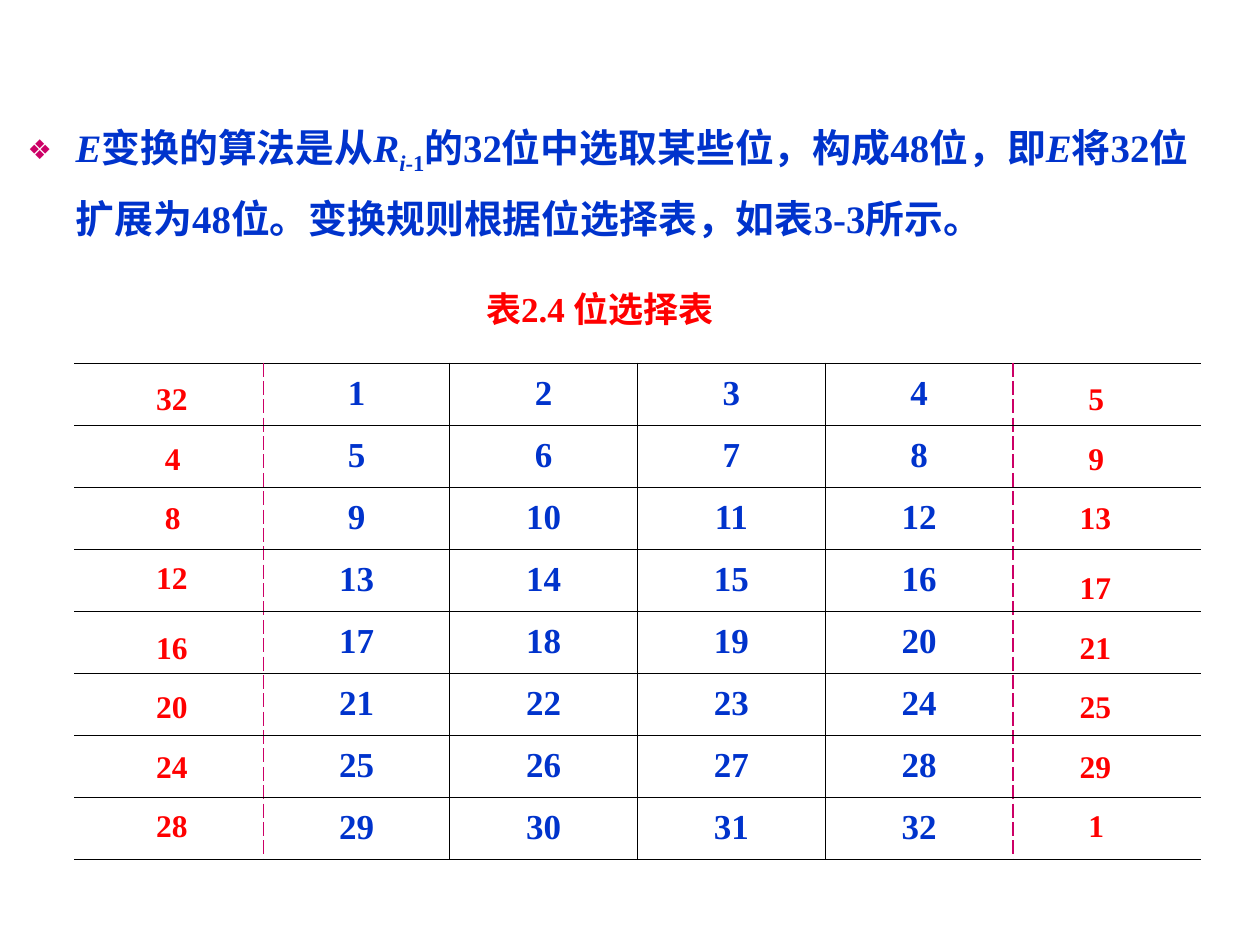
from lxml.etree import SubElement as Sub
from pptx import Presentation
from pptx.dml.color import RGBColor as Rgb
from pptx.enum.text import MSO_ANCHOR as Anchor, MSO_AUTO_SIZE as Fit, PP_ALIGN as Align
from pptx.oxml.ns import qn
from pptx.util import Inches, Pt

COLS, ROWS = 100, 75
INK = {"blue": "0033CC", "red": "FF0000", "pink": "CC0066", "black": "000000"}
BODY = [
    ("E", {"italic": True}),
    ("变换的算法是从", {}),
    ("R", {"italic": True}),
    ("i", {"italic": True, "base": -25}),
    ("-1", {"base": -25}),
    ("的32位中选取某些位，构成48位，即", {}),
    ("E", {"italic": True}),
    ("将32位扩展为48位。变换规则根据位选择表，如表3-3所示。", {}),
]


def write(para, text, size=20, ink="blue", face="Times New Roman",
          bold=True, italic=False, base=0):
    run = para.add_run()
    run.text = text
    font = run.font
    font.name, font.size = face, Pt(size)
    font.bold, font.italic = bold, italic
    font.color.rgb = Rgb.from_string(INK[ink])
    if base:
        run._r.get_or_add_rPr().set("baseline", str(base * 1000))


class Page:
    def __init__(self, deck):
        deck.slide_width, deck.slide_height = Inches(10), Inches(7.5)
        self.wide, self.high = deck.slide_width / COLS, deck.slide_height / ROWS
        self.slide = deck.slides.add_slide(deck.slide_layouts[1])
        title = self.slide.shapes.title._element
        title.getparent().remove(title)

    def area(self, left, top, width, height):
        return (round(left * self.wide), round(top * self.high),
                round(width * self.wide), round(height * self.high))

    def body(self, runs, *place):
        shape = self.slide.placeholders[1]
        shape.left, shape.top, shape.width, shape.height = self.area(*place)
        frame = shape.text_frame
        frame.auto_size = Fit.NONE
        para = frame.paragraphs[0]
        para.line_spacing, para.space_before = 1.4, Pt(0)
        props = para._p.get_or_add_pPr()
        props.set("marL", str(Inches(0.38)))
        props.set("indent", str(-Inches(0.38)))
        tint = Sub(props, qn("a:buClr"))
        Sub(tint, qn("a:srgbClr"), val=INK["pink"])
        Sub(props, qn("a:buSzPct"), val="70000")
        Sub(props, qn("a:buChar"), char="❖")
        for text, style in runs:
            write(para, text, size=22.2, **style)

    def label(self, text, *place, size=18, wrap=True):
        box = self.slide.shapes.add_textbox(*self.area(*place))
        frame = box.text_frame
        frame.word_wrap = wrap
        frame.auto_size = Fit.SHAPE_TO_FIT_TEXT
        write(frame.paragraphs[0], text, size=size, ink="red")

    def edge(self, cell, side, ink=None, width=0.45, dash="solid"):
        props = cell._tc.get_or_add_tcPr()
        line = Sub(props, qn("a:ln" + side), w=str(Pt(width)))
        if ink is None:
            Sub(line, qn("a:noFill"))
            return
        fill = Sub(line, qn("a:solidFill"))
        Sub(fill, qn("a:srgbClr"), val=INK[ink])
        Sub(line, qn("a:prstDash"), val=dash)

    def table(self, rows, widths, *place):
        count, last = len(rows), len(widths) - 1
        grid = self.slide.shapes.add_table(count, len(widths), *self.area(*place)).table
        grid.first_row = grid.horz_banding = False
        for col, width in zip(grid.columns, widths):
            col.width = round(width * self.wide)
        thin = {"ink": "black"}
        dash = {"ink": "pink", "width": 1.08, "dash": "dash"}
        rules = [{}, dash] + [thin] * (last - 2) + [dash, {}]
        for r, row in enumerate(rows):
            for c in range(len(widths)):
                cell = grid.cell(r, c)
                for side, style in zip("LRTB", (rules[c], rules[c + 1], thin, thin)):
                    self.edge(cell, side, **style)
                cell.fill.background()
                cell.vertical_anchor = Anchor.MIDDLE
                if 0 < c < last:
                    para = cell.text_frame.paragraphs[0]
                    para.alignment = Align.CENTER
                    write(para, str(row[c - 1]))

    def stack(self, nums, left, top, step, jump):
        for k, num in enumerate(nums):
            shift = 0.7 if num < 10 else 0
            drop = 0.8 if k >= jump else 0
            self.label(str(num), left + shift, top + k * step + drop, 5.9, 4)


def main():
    deck = Presentation()
    page = Page(deck)
    page.body(BODY, 1.2, 7.6, 96.9, 14.2)
    page.label("表2.4 位选择表", 37.6, 22.3, 21.4, 4.4, size=20, wrap=False)
    rows = [range(n, n + 4) for n in range(1, 33, 4)]
    page.table(rows, [15, 14.8] + [14.9] * 4, 5.9, 28.8, 89.4, 39.4)
    page.stack([(row[0] - 2) % 32 + 1 for row in rows], 11.4, 29.6, 4.73, 4)
    page.stack([row[-1] % 32 + 1 for row in rows], 84.7, 29.6, 4.73, 3)
    deck.save("out.pptx")


if __name__ == "__main__":
    main()
